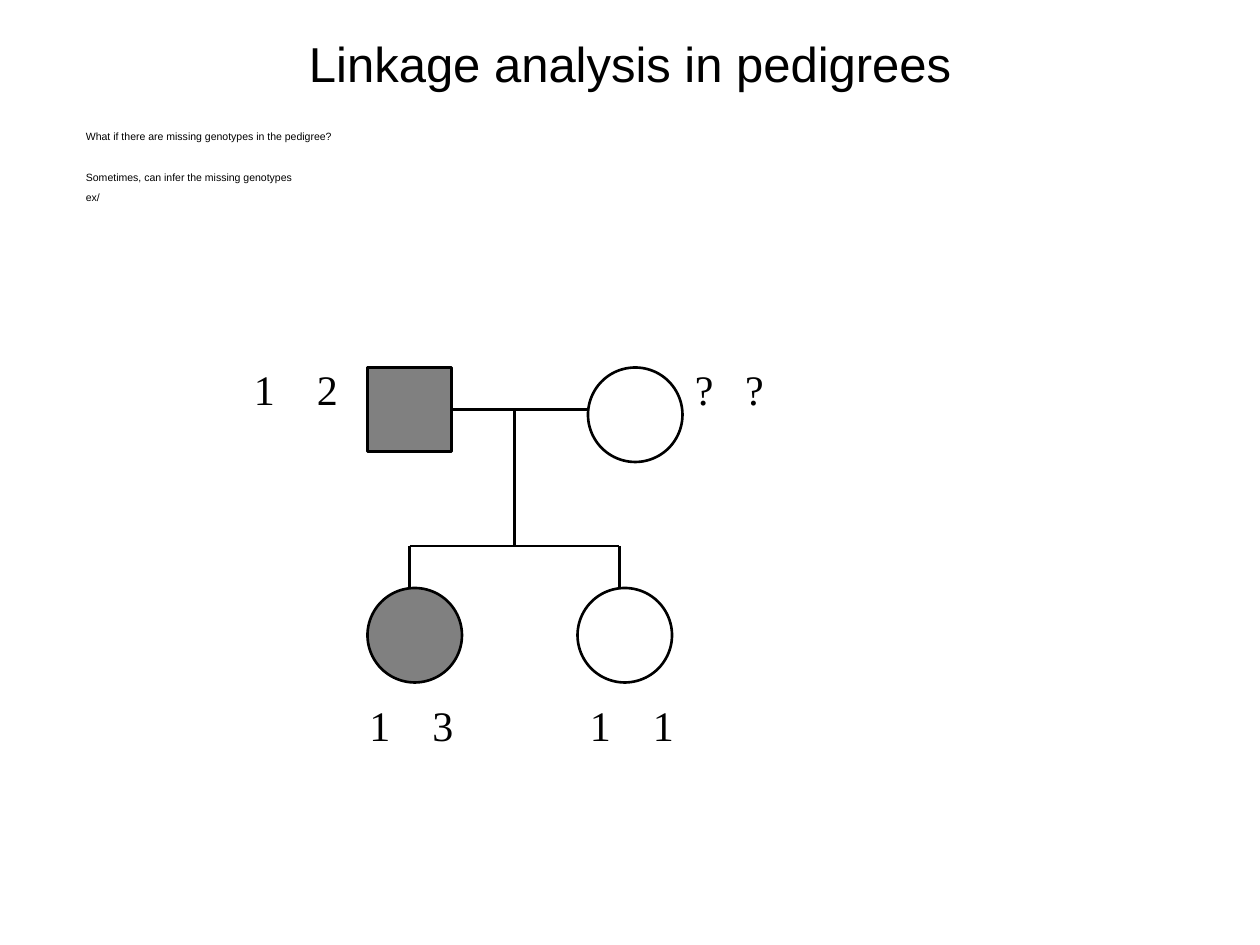
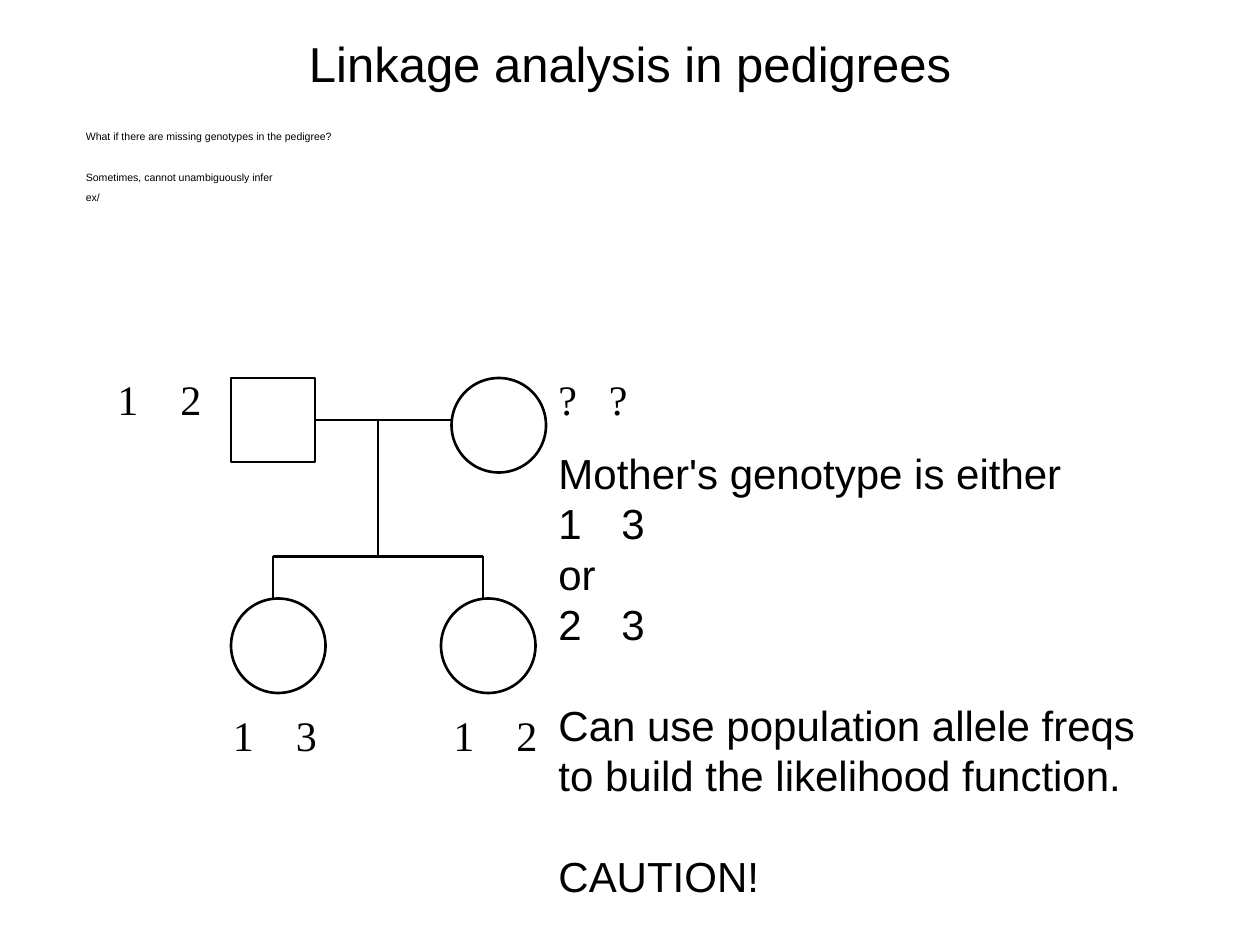
from dataclasses import dataclass

from lxml.etree import SubElement
from pptx import Presentation
from pptx.dml.color import RGBColor
from pptx.enum.shapes import MSO_CONNECTOR, MSO_SHAPE
from pptx.enum.text import MSO_ANCHOR, PP_ALIGN
from pptx.oxml.ns import qn
from pptx.util import Inches, Pt


@dataclass(frozen=True)
class Theme:
    """Colours, fonts and type sizes shared by the slides."""

    ink: RGBColor = RGBColor(0x00, 0x00, 0x00)
    affected: RGBColor = RGBColor(0x80, 0x80, 0x80)
    sans: str = "Arial"
    serif: str = "Times New Roman"
    title_size: float = 28
    body_size: float = 24
    note_size: float = 6
    note_gap: float = 6
    line_width: float = 1.5
    leading: float = 1.2
    tight: float = 0.8


class PedigreeDeck:
    """Draws on a grid of 120 columns by 90 rows."""

    COLUMNS = 120
    ALLELE_GAP = 6
    UNKNOWN_GAP = 4.8

    def __init__(self, theme):
        """Open an empty presentation in the given theme."""
        self.theme = theme
        self.deck = Presentation()
        self.deck.slide_width = Inches(10)
        self.deck.slide_height = Inches(7.5)
        self.slide = None

    def grid(self, *cells):
        """Turn grid counts into lengths."""
        return [round(self.deck.slide_width * cell / self.COLUMNS) for cell in cells]

    def add_slide(self, title, notes):
        """Start a blank slide with its title and notes."""
        self.slide = self.deck.slides.add_slide(self.deck.slide_layouts[6])
        theme = self.theme
        heading = self.text((5, 3, 110, 6), [[title]], theme.title_size, theme.sans)
        heading.vertical_anchor = MSO_ANCHOR.MIDDLE
        heading.paragraphs[0].alignment = PP_ALIGN.CENTER
        self.text((7, 12, 106, 10), notes, theme.note_size, theme.sans,
                  ratio=theme.tight, before=theme.note_gap)

    def text(self, box, groups, size, font, ratio=1, before=0, tab=None):
        """Write groups of lines, one line's height apart."""
        frame = self.slide.shapes.add_textbox(*self.grid(*box)).text_frame
        frame.word_wrap = True
        frame.text = "\n".join(line for group in groups for line in group)
        openings = [number > 0 and line == 0
                    for number, group in enumerate(groups) for line in range(len(group))]
        height = size * self.theme.leading * ratio
        for paragraph, opens_group in zip(frame.paragraphs, openings):
            paragraph.line_spacing = Pt(height)
            paragraph.space_before = Pt(before + (height + before) * opens_group)
            if tab:
                self.tab_stop(paragraph, tab)
            for run in paragraph.runs:
                run.font.size = Pt(size)
                run.font.name = font
                run.font.color.rgb = self.theme.ink
        return frame

    def tab_stop(self, paragraph, column):
        """Put a left tab stop at a column."""
        stops = SubElement(paragraph._p.get_or_add_pPr(), qn("a:tabLst"))
        SubElement(stops, qn("a:tab"), pos=str(self.grid(column)[0]), algn="l")

    def person(self, outline, left, top, size, affected):
        """Draw a family member, shaded when affected."""
        member = self.slide.shapes.add_shape(outline, *self.grid(left, top, size, size))
        member.shadow.inherit = False
        if affected:
            member.fill.solid()
            member.fill.fore_color.rgb = self.theme.affected
        else:
            member.fill.background()
        self.stroke(member.line)

    def man(self, left, top, affected):
        """Draw a male as a square."""
        self.person(MSO_SHAPE.RECTANGLE, left, top, 8, affected)

    def woman(self, left, top, affected):
        """Draw a female as a circle."""
        self.person(MSO_SHAPE.OVAL, left, top, 9, affected)

    def link(self, *ends):
        """Join two grid points with a line."""
        bond = self.slide.shapes.add_connector(MSO_CONNECTOR.STRAIGHT, *self.grid(*ends))
        SubElement(bond._element.spPr, qn("a:effectLst"))
        self.stroke(bond.line)

    def stroke(self, line):
        """Apply the pedigree line style."""
        line.color.rgb = self.theme.ink
        line.width = Pt(self.theme.line_width)

    def genotype(self, left, top, alleles, gap=ALLELE_GAP):
        """Write the two alleles of a family member."""
        self.text((left, top, 11, 6), [["\t".join(alleles)]],
                  self.theme.body_size, self.theme.serif, tab=gap)

    def pedigree(self, left, top, daughters, affected=False):
        """Draw a family whose father stands at the given point."""
        marriage, sibship, children = top + 4, top + 17, top + 21
        mother = left + 21
        self.man(left, top, affected)
        self.woman(mother, top, False)
        self.link(left + 8, marriage, mother, marriage)
        self.link(left + 14, marriage, left + 14, sibship)
        self.link(left + 4, sibship, left + 24, sibship)
        self.genotype(left - 12, top - 1, "12")
        self.genotype(left + 30, top - 1, "??", self.UNKNOWN_GAP)
        places = ((0, -1, affected), (20, 20, False))
        for (offset, label, shaded), alleles in zip(places, daughters):
            self.woman(left + offset, children, shaded)
            self.link(left + offset + 4, sibship, left + offset + 4, children)
            self.genotype(left + label, top + 31, alleles)

    def conclusion(self, box, groups):
        """Write the large text beside a pedigree."""
        self.text(box, groups, self.theme.body_size, self.theme.sans, tab=self.ALLELE_GAP)


def main():
    """Build both pedigree slides."""
    title = "Linkage analysis in pedigrees"
    question = ["What if there are missing genotypes in the pedigree?"]
    lesson = PedigreeDeck(Theme())

    lesson.add_slide(title, [question, ["Sometimes, can infer the missing genotypes", "ex/"]])
    lesson.pedigree(35, 35, ("13", "11"), affected=True)

    lesson.add_slide(title, [question, ["Sometimes, cannot unambiguously infer", "ex/"]])
    lesson.pedigree(22, 36, ("13", "12"))
    lesson.conclusion((52, 42, 68, 44), [
        ["Mother's genotype is either", "1\t3", "or", "2\t3"],
        ["Can use population allele freqs", "to build the likelihood function."],
        ["CAUTION!"],
    ])
    lesson.deck.save("out.pptx")


if __name__ == "__main__":
    main()
